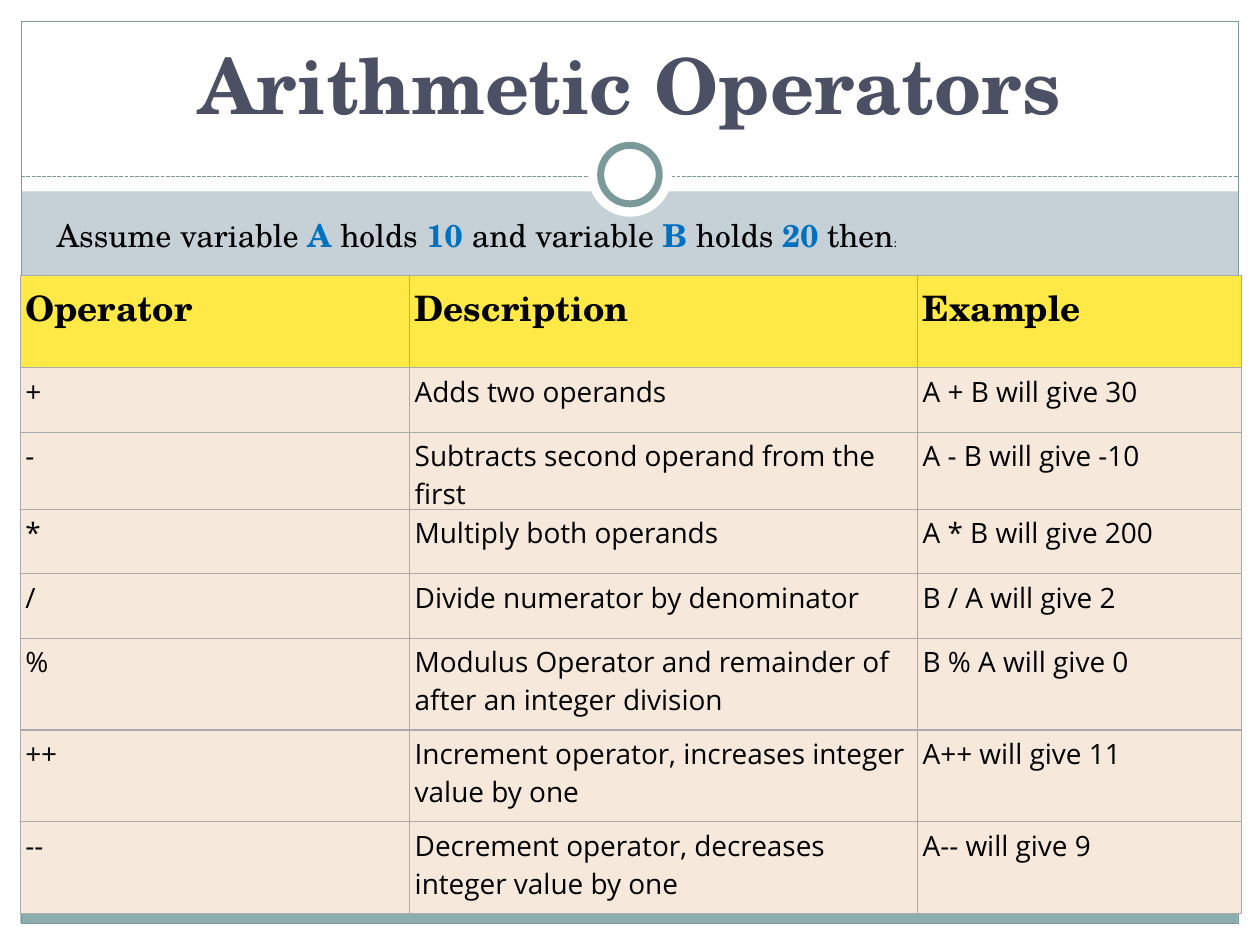
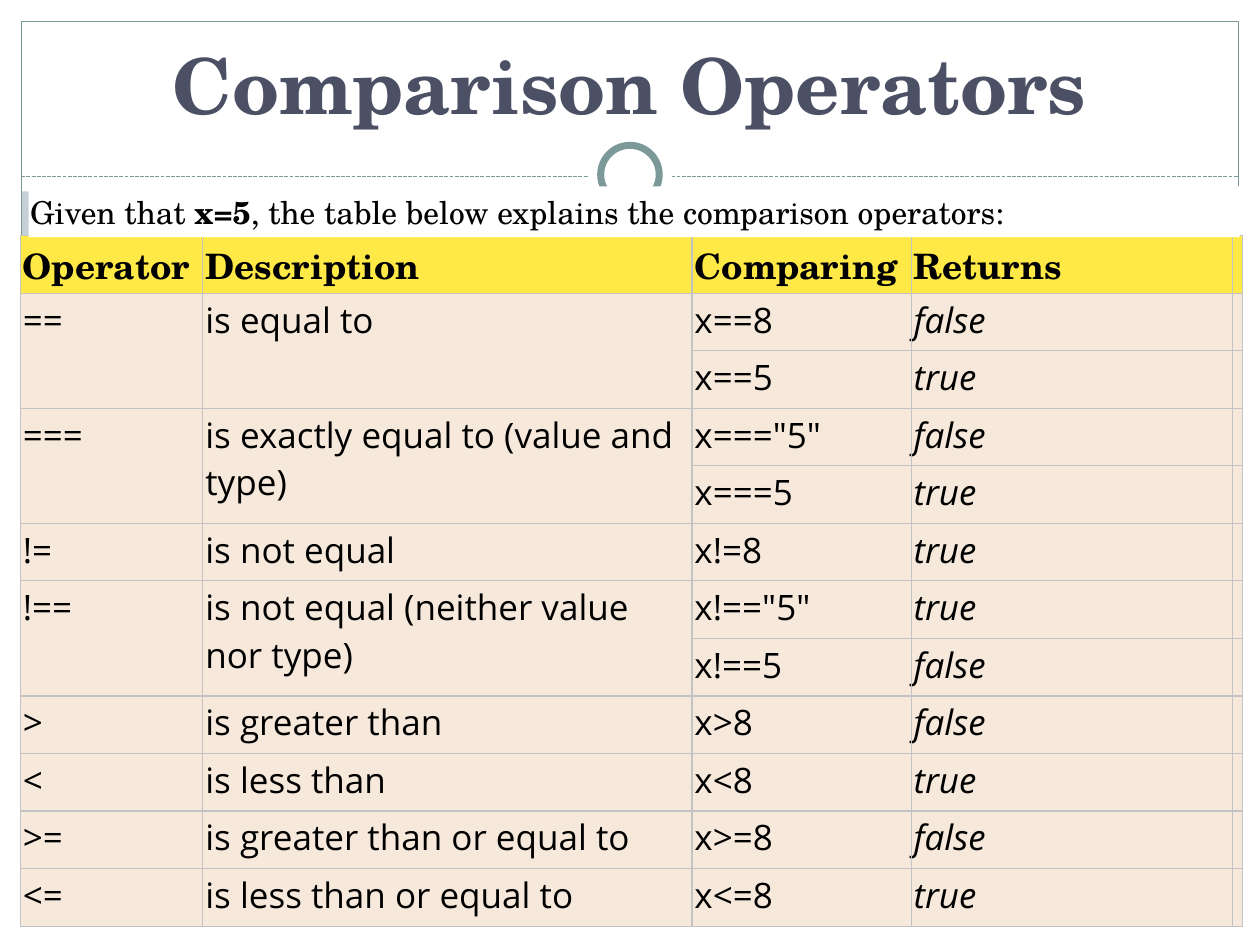
from lxml.etree import SubElement
from pptx import Presentation
from pptx.dml.color import RGBColor as Rgb
from pptx.enum.dml import MSO_LINE as Dash
from pptx.enum.shapes import MSO_CONNECTOR as Connector, MSO_SHAPE as Shape
from pptx.enum.text import MSO_ANCHOR as Anchor, PP_ALIGN as Align
from pptx.oxml.ns import qn
from pptx.util import Cm, Pt

COLORS = {
    "backdrop": "C5D1D7", "white": "FFFFFF", "bar": "8CADAE", "frame": "7C999A",
    "title": "4B5064", "text": "000000", "accent": "0070C0",
    "header": "FFE947", "body": "F6E9DB",
}
SERIF, SANS = "TeX Gyre Schola", "Open Sans"


def add_box(page, kind, place, fill=None, line=None, width=0.75):
    box = page.shapes.add_shape(kind, *[Cm(length) for length in place])
    box.shadow.inherit = False
    if fill:
        box.fill.solid()
        box.fill.fore_color.rgb = Rgb.from_string(COLORS[fill])
    else:
        box.fill.background()
    if line:
        box.line.color.rgb = Rgb.from_string(COLORS[line])
        box.line.width = Pt(width)
    else:
        box.line.fill.background()
    return box


def set_font(font, size, name, color="text", bold=False, italic=False):
    font.size, font.name, font.bold, font.italic = Pt(size), name, bold, italic
    font.color.rgb = Rgb.from_string(COLORS[color])


# Content: intro spans are (text, colour, bold, size); None continues the cell above
topics = [
    {
        "title": "Arithmetic Operators",
        "intro": [
            ("Assume variable ", "text", False, 18), ("A ", "accent", True, 18),
            ("holds ", "text", False, 18), ("10 ", "accent", True, 18),
            ("and variable ", "text", False, 18), ("B", "accent", True, 18),
            (" holds ", "text", False, 18), ("20", "accent", True, 18),
            (" then", "text", False, 18), (":", "text", False, 7),
        ],
        "intro_place": (0.89, 4.22, 23.01, 1.02), "intro_fill": None, "intro_inset": 0.25,
        "top": 5.56, "columns": [7.85, 10.24, 6.53],
        "heights": [1.85, 1.3, 1.55, 1.3, 1.3, 1.85, 1.85, 1.85],
        "inset": 0.1, "body_size": 16, "border": "AAAAAA", "italic_column": None,
        "rows": [
            ("Operator", "Description", "Example"),
            ("+", "Adds two operands", "A + B will give 30"),
            ("-", "Subtracts second operand from the first", "A - B will give -10"),
            ("*", "Multiply both operands", "A * B will give 200"),
            ("/", "Divide numerator by denominator", "B / A will give 2"),
            ("%", "Modulus Operator and remainder of after an integer division",
             "B % A will give 0"),
            ("++", "Increment operator, increases integer value by one",
             "A++ will give 11"),
            ("--", "Decrement operator, decreases integer value by one",
             "A-- will give 9"),
        ],
    },
    {
        "title": "Comparison Operators",
        "intro": [
            ("Given that ", "text", False, 18), ("x=5", "text", True, 18),
            (", the table below explains the comparison operators:", "text", False, 18),
        ],
        "intro_place": (0.58, 3.76, 24.41, 1.02), "intro_fill": "white", "intro_inset": 0.03,
        "top": 4.75, "columns": [3.68, 9.86, 4.42, 6.48, 0.18],
        "heights": [1.16] * 12,
        "inset": 0.05, "body_size": 20, "border": "C3C3C3", "italic_column": 3,
        "rows": [
            ("Operator", "Description", "Comparing", "Returns", ""),
            ("==", "is equal to", "x==8", "false", ""),
            (None, None, "x==5", "true", ""),
            ("===", "is exactly equal to (value and type)", 'x==="5"', "false", ""),
            (None, None, "x===5", "true", ""),
            ("!=", "is not equal", "x!=8", "true", ""),
            ("!==", "is not equal (neither value nor type)", 'x!=="5"', "true", ""),
            (None, None, "x!==5", "false", ""),
            (">", "is greater than", "x>8", "false", ""),
            ("<", "is less than", "x<8", "true", ""),
            (">=", "is greater than or equal to", "x>=8", "false", ""),
            ("<=", "is less than or equal to", "x<=8", "true", ""),
        ],
    },
]

deck = Presentation()
deck.slide_width, deck.slide_height = Cm(25.4), Cm(19.05)

for topic in topics:
    page = deck.slides.add_slide(deck.slide_layouts[6])
    page.background.fill.solid()
    page.background.fill.fore_color.rgb = Rgb.from_string(COLORS["backdrop"])

    # White margins, footer bar and frame
    for margin in [(0, 18.62, 25.4, 0.43), (0, 0, 25.4, 3.86),
                   (0, 0, 0.43, 19.05), (24.97, 0, 0.43, 19.05)]:
        add_box(page, Shape.RECTANGLE, margin, "white")
    add_box(page, Shape.RECTANGLE, (0.41, 17.75, 24.54, 0.87), "bar")
    add_box(page, Shape.RECTANGLE, (0.43, 0.43, 24.54, 18.19), line="frame")

    # Dashed rule with the ring on it
    rule = page.shapes.add_connector(Connector.STRAIGHT, Cm(0.43), Cm(3.56), Cm(24.97), Cm(3.56))
    rule.line.color.rgb = Rgb.from_string(COLORS["frame"])
    rule.line.width = Pt(0.75)
    rule.line.dash_style = Dash.SQUARE_DOT
    SubElement(rule._element.spPr, qn("a:effectLst"))
    add_box(page, Shape.OVAL, (11.85, 2.67, 1.7, 1.7), "white")
    add_box(page, Shape.OVAL, (12.11, 2.93, 1.18, 1.18), "white", "frame", 4)

    # Title
    title = page.shapes.add_textbox(Cm(0.85), Cm(0.64), Cm(23.7), Cm(2.11)).text_frame
    title.word_wrap = True
    title.vertical_anchor = Anchor.BOTTOM
    para = title.paragraphs[0]
    para.text, para.alignment = topic["title"], Align.CENTER
    set_font(para.font, 44, SERIF, "title", True)

    # Operator table
    rows, columns, heights = topic["rows"], topic["columns"], topic["heights"]
    table = page.shapes.add_table(len(rows), len(columns), Cm(0.41), Cm(topic["top"]),
                                  Cm(sum(columns)), Cm(sum(heights))).table
    for column, width in zip(table.columns, columns):
        column.width = Cm(width)
    for r, (row, height) in enumerate(zip(rows, heights)):
        table.rows[r].height = Cm(height)
        for c, text in enumerate(row):
            cell = table.cell(r, c)
            cell.margin_left = cell.margin_right = Cm(topic["inset"])
            cell.margin_top = cell.margin_bottom = Cm(topic["inset"])
            for side in ("lnL", "lnR", "lnT", "lnB"):
                edge = SubElement(cell._tc.get_or_add_tcPr(), qn("a:" + side), w=str(Pt(0.75)))
                paint = SubElement(edge, qn("a:solidFill"))
                SubElement(paint, qn("a:srgbClr"), val=topic["border"])
            cell.fill.solid()
            cell.fill.fore_color.rgb = Rgb.from_string(COLORS["body" if r else "header"])
            if text is None:
                table.cell(r - 1, c).merge(cell)
                continue
            para = cell.text_frame.paragraphs[0]
            para.text = text
            if r == 0:
                set_font(para.font, 20, SERIF, bold=True)
            else:
                set_font(para.font, topic["body_size"], SANS,
                         italic=c == topic["italic_column"])

    # Intro sentence
    box = add_box(page, Shape.RECTANGLE, topic["intro_place"], topic["intro_fill"])
    frame = box.text_frame
    frame.word_wrap = True
    frame.vertical_anchor = Anchor.MIDDLE
    frame.margin_left = Cm(topic["intro_inset"])
    para = frame.paragraphs[0]
    para.alignment = Align.LEFT
    for text, color, bold, size in topic["intro"]:
        span = para.add_run()
        span.text = text
        set_font(span.font, size, SERIF, color, bold)

deck.save("out.pptx")
